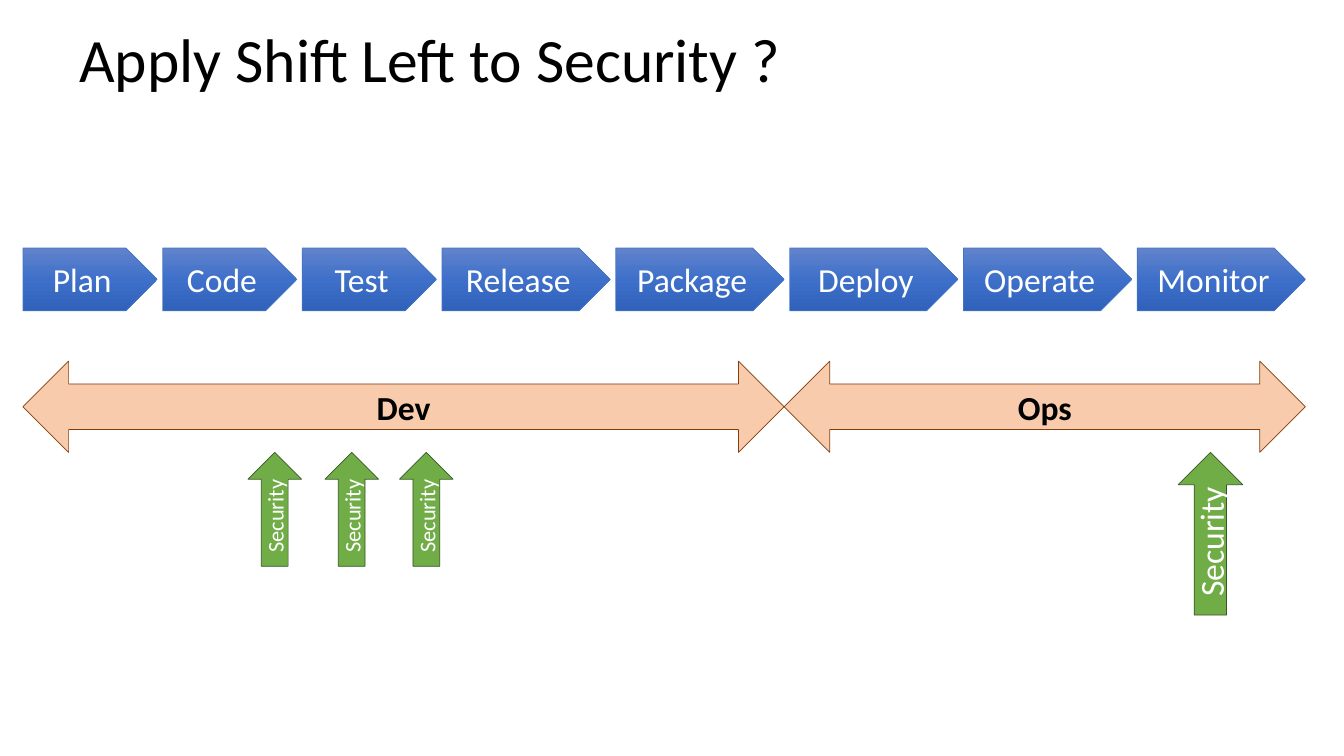
import copy
from dataclasses import dataclass

import pptx
import pptx.dml.color
import pptx.enum.shapes
import pptx.enum.text
import pptx.oxml.ns
import pptx.util

Cm = pptx.util.Cm
Pt = pptx.util.Pt
RGB = pptx.dml.color.RGBColor.from_string
SHAPE = pptx.enum.shapes.MSO_SHAPE
ALIGN = pptx.enum.text.PP_ALIGN
MIDDLE = pptx.enum.text.MSO_ANCHOR.MIDDLE


@dataclass(frozen=True)
class Theme:
    font: str = "Calibri"
    title_size: int = 44
    label_size: int = 24
    small_size: int = 16
    dark: str = "000000"
    light: str = "FFFFFF"
    stage_stops: tuple = ("6183CB", "3E70CA", "3062BB")
    stage_line: str = "4472C4"
    span_fill: str = "F8CBAD"
    span_line: str = "843C0B"
    security_fill: str = "70AD47"
    security_line: str = "385723"


theme = Theme()


def write(sp, text, size, color, bold=False, align=ALIGN.CENTER):
    tf = sp.text_frame
    tf.word_wrap = True
    tf.vertical_anchor = MIDDLE
    p = tf.paragraphs[0]
    p.alignment = align
    r = p.add_run()
    r.text = text
    r.font.name = theme.font
    r.font.size = Pt(size)
    r.font.bold = bold
    r.font.color.rgb = RGB(color)
    return p


def add_box(kind, left, top, width, height, line, fill=None):
    sp = s.shapes.add_shape(kind, Cm(left), Cm(top), Cm(width), Cm(height))
    sp.shadow.inherit = False
    sp.line.color.rgb = RGB(line)
    sp.line.width = Pt(0.5)
    if fill:
        sp.fill.solid()
        sp.fill.fore_color.rgb = RGB(fill)
    return sp


prs = pptx.Presentation()
prs.slide_width = Cm(33.87)
prs.slide_height = Cm(19.05)
s = prs.slides.add_slide(prs.slide_layouts[6])

title = s.shapes.add_textbox(Cm(1.75), Cm(0.13), Cm(25.7), Cm(2.87))
p = write(title, "Apply Shift Left to Security ?", theme.title_size, theme.dark,
          align=ALIGN.LEFT)
p.line_spacing = 0.9

margin, gap = 0.58, 0.14
short, long = 3.38, 4.24
stages = [("Plan", short), ("Code", short), ("Test", short), ("Release", long),
          ("Package", long), ("Deploy", long), ("Operate", long), ("Monitor", long)]
stage_ends = {}
left = margin
for name, width in stages:
    sp = add_box(SHAPE.PENTAGON, left, 6.25, width, 1.58, theme.stage_line)
    sp.fill.gradient()
    sp.fill.gradient_angle = 270
    first = sp._element.spPr.find(".//" + pptx.oxml.ns.qn("a:gs"))
    first.addnext(copy.deepcopy(first))
    for i, (stop, color) in enumerate(zip(sp.fill.gradient_stops, theme.stage_stops)):
        stop.position = i / 2
        stop.color.rgb = RGB(color)
    write(sp, name, theme.label_size, theme.light)
    stage_ends[name] = left + width
    left += width + gap

dev_end, ops_end = stage_ends["Package"], stage_ends["Monitor"]
for name, start, end in [("Dev", margin, dev_end), ("Ops", dev_end, ops_end)]:
    sp = add_box(SHAPE.LEFT_RIGHT_ARROW, start, 9.1, end - start, 2.3,
                 theme.span_line, theme.span_fill)
    write(sp, name, theme.label_size, theme.dark, bold=True)

small = (1.35, 2.87, theme.small_size)
large = (1.63, 4.1, theme.label_size)
for left, (width, height, size) in [(6.25, small), (8.19, small), (10.07, small),
                                    (29.69, large)]:
    sp = add_box(SHAPE.UP_ARROW, left, 11.4, width, height,
                 theme.security_line, theme.security_fill)
    write(sp, "Security", size, theme.light)
    sp.text_frame._txBody.bodyPr.set("vert", "vert270")

prs.save("out.pptx")
